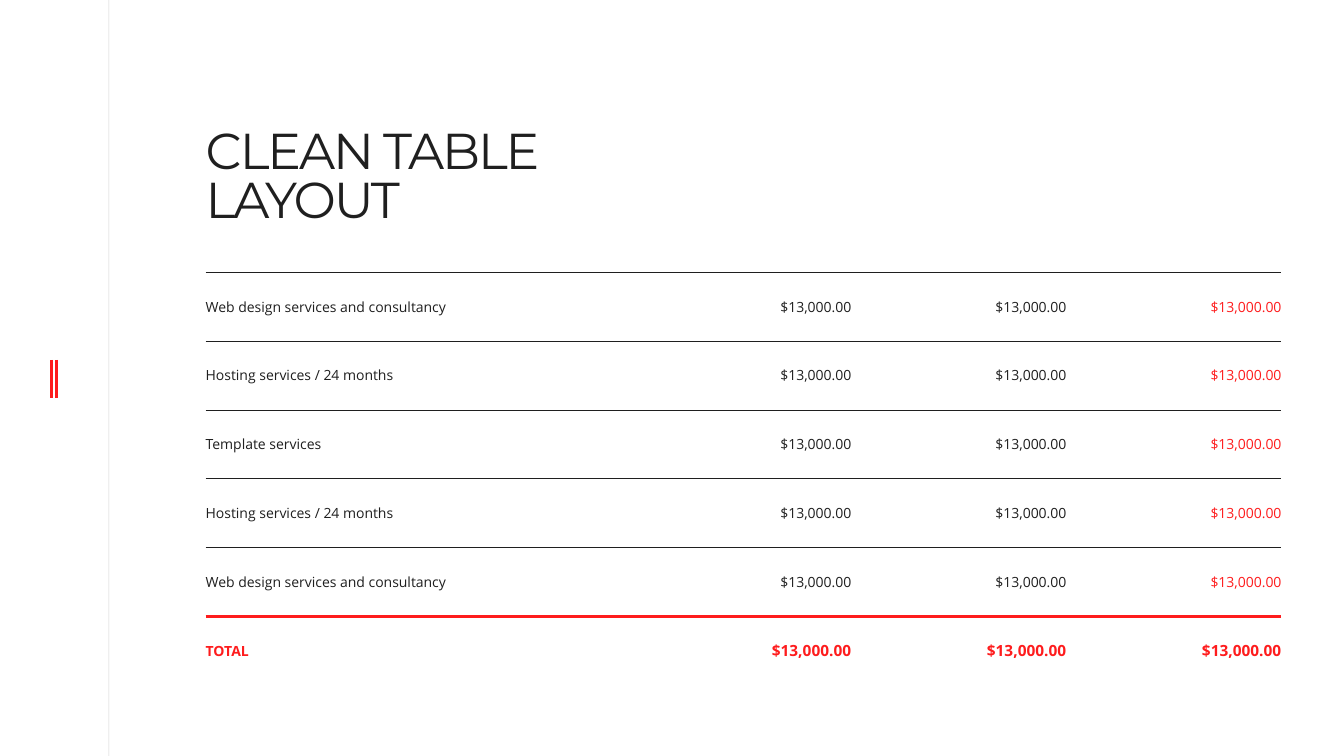
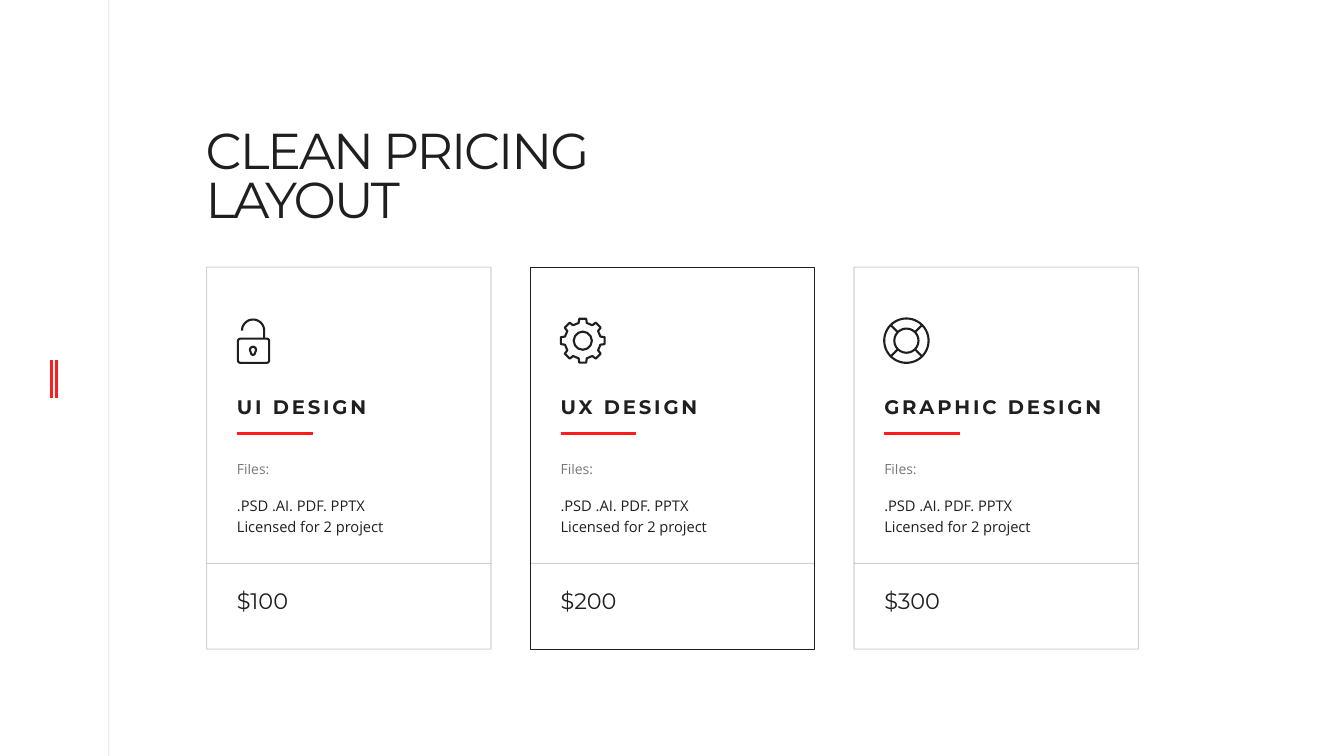
from dataclasses import dataclass
from math import cos, radians, sin
from typing import Callable, Iterable

from lxml import etree
from pptx import Presentation
from pptx.dml.color import RGBColor
from pptx.enum.shapes import MSO_CONNECTOR, MSO_SHAPE
from pptx.enum.text import MSO_ANCHOR, PP_ALIGN
from pptx.oxml.ns import qn
from pptx.util import Inches, Pt

STRAIGHT = MSO_CONNECTOR.STRAIGHT
RECTANGLE = MSO_SHAPE.RECTANGLE
ROUNDED = MSO_SHAPE.ROUNDED_RECTANGLE
OVAL = MSO_SHAPE.OVAL
MIDDLE = MSO_ANCHOR.MIDDLE
LEFT, RIGHT = PP_ALIGN.LEFT, PP_ALIGN.RIGHT
NO_TABLE_STYLE = "{2D5ABB26-0587-4C30-8999-92F81FD0307C}"

Point = tuple[float, float]


@dataclass(frozen=True)
class TextStyle:
    font: str
    size: float
    bold: bool = False
    color: str = "1F1F1F"
    opacity: int = 100
    tracking: float = 0
    line_spacing: float = 1.0


@dataclass(frozen=True)
class Theme:
    ink: str = "1F1F1F"
    accent: str = "FE1C1D"
    faint: int = 20
    hairline: float = 0.5
    card_line: float = 0.75
    icon_line: float = 1.5
    accent_line: float = 2
    total_line: float = 2.25
    title: TextStyle = TextStyle("Montserrat", 36, tracking=-1.5, line_spacing=0.8)
    heading: TextStyle = TextStyle("Montserrat", 14, bold=True, tracking=2, line_spacing=0.8)
    price: TextStyle = TextStyle("Montserrat", 16, line_spacing=0.8)
    label: TextStyle = TextStyle("Open Sans", 10, opacity=60, line_spacing=1.2)
    details: TextStyle = TextStyle("Open Sans", 10.5, line_spacing=1.2)
    cell: TextStyle = TextStyle("Open Sans", 10)
    cell_accent: TextStyle = TextStyle("Open Sans", 10, color="FE1C1D")
    total_name: TextStyle = TextStyle("Open Sans", 10, bold=True, color="FE1C1D")
    total_amount: TextStyle = TextStyle("Open Sans", 11, bold=True, color="FE1C1D")


THEME = Theme()


@dataclass(frozen=True)
class PricingCard:
    heading: str
    price: str
    draw_icon: Callable
    highlighted: bool = False


def fade(element, opacity: int) -> None:
    """Make every RGB colour inside the element partly transparent."""
    if opacity < 100:
        for color in element.iter(qn("a:srgbClr")):
            etree.SubElement(color, qn("a:alpha"), val=str(opacity * 1000))


def style_text(frame, style: TextStyle, align=LEFT) -> None:
    for paragraph in frame.paragraphs:
        paragraph.alignment = align
        paragraph.line_spacing = style.line_spacing
        for run in paragraph.runs:
            run.font.name = style.font
            run.font.size = Pt(style.size)
            run.font.bold = style.bold
            run.font.color.rgb = RGBColor.from_string(style.color)
            if style.tracking:
                run.font._element.set("spc", str(int(style.tracking * 100)))
            fade(run._r, style.opacity)


def add_text(slide, text: str, left: float, top: float, width: float, height: float,
             style: TextStyle, inset_top: float = 0) -> None:
    box = slide.shapes.add_textbox(Inches(left), Inches(top), Inches(width), Inches(height))
    frame = box.text_frame
    frame.word_wrap = True
    frame.margin_left = frame.margin_right = frame.margin_bottom = 0
    frame.margin_top = Inches(inset_top)
    frame.text = text
    style_text(frame, style)


def add_line(slide, start: Point, end: Point, color: str, width: float,
             opacity: int = 100) -> None:
    line = slide.shapes.add_connector(STRAIGHT, *(Inches(v) for v in (*start, *end)))
    line.line.color.rgb = RGBColor.from_string(color)
    line.line.width = Pt(width)
    properties = line._element.spPr
    fade(properties, opacity)
    etree.SubElement(properties, qn("a:effectLst"))


def outline(shape, width: float, opacity: int = 100) -> None:
    """Leave the shape unfilled, with a round-joined ink line."""
    shape.shadow.inherit = False
    shape.fill.background()
    shape.line.color.rgb = RGBColor.from_string(THEME.ink)
    shape.line.width = Pt(width)
    properties = shape._element.spPr
    etree.SubElement(properties.find(qn("a:ln")), qn("a:round"))
    fade(properties, opacity)


def add_outlined(slide, kind, left: float, top: float, width: float, height: float,
                 line_width: float, opacity: int = 100):
    shape = slide.shapes.add_shape(kind, Inches(left), Inches(top), Inches(width), Inches(height))
    outline(shape, line_width, opacity)
    return shape


def add_ring(slide, x: float, y: float, radius: float) -> None:
    add_outlined(slide, OVAL, x - radius, y - radius, 2 * radius, 2 * radius, THEME.icon_line)


def add_path(slide, points: Iterable[Point], close: bool) -> None:
    first, *rest = [(Inches(x), Inches(y)) for x, y in points]
    builder = slide.shapes.build_freeform(*first, scale=1.0)
    builder.add_line_segments(rest, close=close)
    outline(builder.convert_to_shape(), THEME.icon_line)


def polar(x: float, y: float, radius: float, degrees: float) -> Point:
    return x + radius * cos(radians(degrees)), y + radius * sin(radians(degrees))


def arc(x: float, y: float, radius: float, start: int, end: int) -> list[Point]:
    return [polar(x, y, radius, angle) for angle in range(start, end + 1, 10)]


def draw_padlock(slide, left: float, top: float) -> None:
    x = left + 0.16
    body = add_outlined(slide, ROUNDED, left + 0.01, top + 0.2, 0.31, 0.24, THEME.icon_line)
    body.adjustments[0] = 0.1
    shackle = arc(x, top + 0.12, 0.11, 180, 360)
    add_path(slide, shackle + [(x + 0.11, top + 0.2)], close=False)
    keyhole = arc(x, top + 0.31, 0.03, 160, 380) + arc(x, top + 0.34, 0.02, 0, 180)
    add_path(slide, keyhole, close=True)


def draw_gear(slide, left: float, top: float) -> None:
    x, y = left + 0.22, top + 0.22
    tooth = ((0.18, -13), (0.22, -9), (0.22, 9), (0.18, 13))
    teeth = [polar(x, y, radius, angle + offset)
             for angle in range(0, 360, 45) for radius, offset in tooth]
    add_path(slide, teeth, close=True)
    add_ring(slide, x, y, 0.09)


def draw_lifebuoy(slide, left: float, top: float) -> None:
    x, y = left + 0.22, top + 0.22
    inner, outer = 0.12, 0.22
    for radius in (inner, outer):
        add_ring(slide, x, y, radius)
    for angle in range(45, 360, 90):
        add_line(slide, polar(x, y, inner, angle), polar(x, y, outer, angle),
                 THEME.ink, THEME.icon_line)


def add_base_slide(deck, title: str):
    """Add a slide with the side rule, the double mark and the title."""
    slide = deck.slides.add_slide(deck.slide_layouts[6])
    add_line(slide, (1.08, 0), (1.08, 7.5), THEME.ink, THEME.hairline, THEME.faint)
    for x in (0.51, 0.56):
        add_line(slide, (x, 3.57), (x, 3.95), THEME.accent, THEME.accent_line)
    add_text(slide, title, 2.04, 1.09, 4.62, 1.77, THEME.title, inset_top=0.21)
    return slide


def add_border(cell, side: str, color: str, width: float) -> None:
    """Draw one border; side is lnT or lnB, added in that order before the fill."""
    border = etree.SubElement(cell._tc.get_or_add_tcPr(), qn(f"a:{side}"), w=str(Pt(width)))
    fill = etree.SubElement(border, qn("a:solidFill"))
    etree.SubElement(fill, qn("a:srgbClr"), val=color)


def fill_cell(cell, text: str, style: TextStyle, is_name: bool) -> None:
    cell.fill.background()
    cell.vertical_anchor = MIDDLE
    cell.margin_left = Inches(0 if is_name else 0.1)
    cell.margin_right = Inches(0.1 if is_name else 0)
    cell.text_frame.text = text
    style_text(cell.text_frame, style, LEFT if is_name else RIGHT)


def add_cost_table(slide, names: list[str], amount: str) -> None:
    row_count, column_count = len(names), 4
    width, name_width = 10.67, 4.27
    table = slide.shapes.add_table(row_count, column_count, Inches(2.04), Inches(2.7),
                                   Inches(width), Inches(4.1)).table
    table.first_row = table.horz_banding = False
    table._tbl.tblPr.find(qn("a:tableStyleId")).text = NO_TABLE_STYLE
    for index, column in enumerate(table.columns):
        column.width = Inches((width - name_width) / 3 if index else name_width)

    normal, total = (THEME.ink, THEME.hairline), (THEME.accent, THEME.total_line)
    last = row_count - 1
    for row, name in enumerate(names):
        for column in range(column_count):
            is_name = column == 0
            if row == last:
                style = THEME.total_name if is_name else THEME.total_amount
            else:
                style = THEME.cell_accent if column == column_count - 1 else THEME.cell
            cell = table.cell(row, column)
            add_border(cell, "lnT", *(total if row == last else normal))
            if row < last:
                add_border(cell, "lnB", *(total if row == last - 1 else normal))
            fill_cell(cell, name if is_name else amount, style, is_name)


def add_pricing_card(slide, card: PricingCard, left: float) -> None:
    width, text_width = 2.82, 2.45
    inner = left + 0.3
    add_outlined(slide, RECTANGLE, left, 2.65, width, 3.79, THEME.card_line,
                 100 if card.highlighted else THEME.faint)
    card.draw_icon(slide, inner, 3.16)
    add_text(slide, card.heading, inner, 3.96, text_width, 0.19, THEME.heading)
    add_line(slide, (inner, 4.3), (inner + 0.75, 4.3), THEME.accent, THEME.accent_line)
    add_text(slide, "Files:", inner, 4.54, text_width, 0.2, THEME.label)
    add_text(slide, ".PSD .AI. PDF. PPTX\nLicensed for 2 project", inner, 4.89,
             text_width, 0.42, THEME.details)
    add_line(slide, (left, 5.59), (left + width, 5.59), THEME.ink, THEME.card_line, THEME.faint)
    add_text(slide, card.price, inner, 5.88, text_width, 0.23, THEME.price)


def main() -> None:
    deck = Presentation()
    deck.slide_width, deck.slide_height = Inches(13.33), Inches(7.5)

    table_slide = add_base_slide(deck, "CLEAN TABLE LAYOUT")
    web_design = "Web design services and consultancy"
    hosting = "Hosting services / 24 months"
    add_cost_table(table_slide,
                   [web_design, hosting, "Template services", hosting, web_design, "TOTAL"],
                   "$13,000.00")

    pricing_slide = add_base_slide(deck, "CLEAN PRICING LAYOUT")
    cards = (
        PricingCard("UI DESIGN", "$100", draw_padlock),
        PricingCard("UX DESIGN", "$200", draw_gear, highlighted=True),
        PricingCard("GRAPHIC DESIGN", "$300", draw_lifebuoy),
    )
    for index, card in enumerate(cards):
        add_pricing_card(pricing_slide, card, 2.05 + index * 3.21)

    deck.save("out.pptx")


if __name__ == "__main__":
    main()
